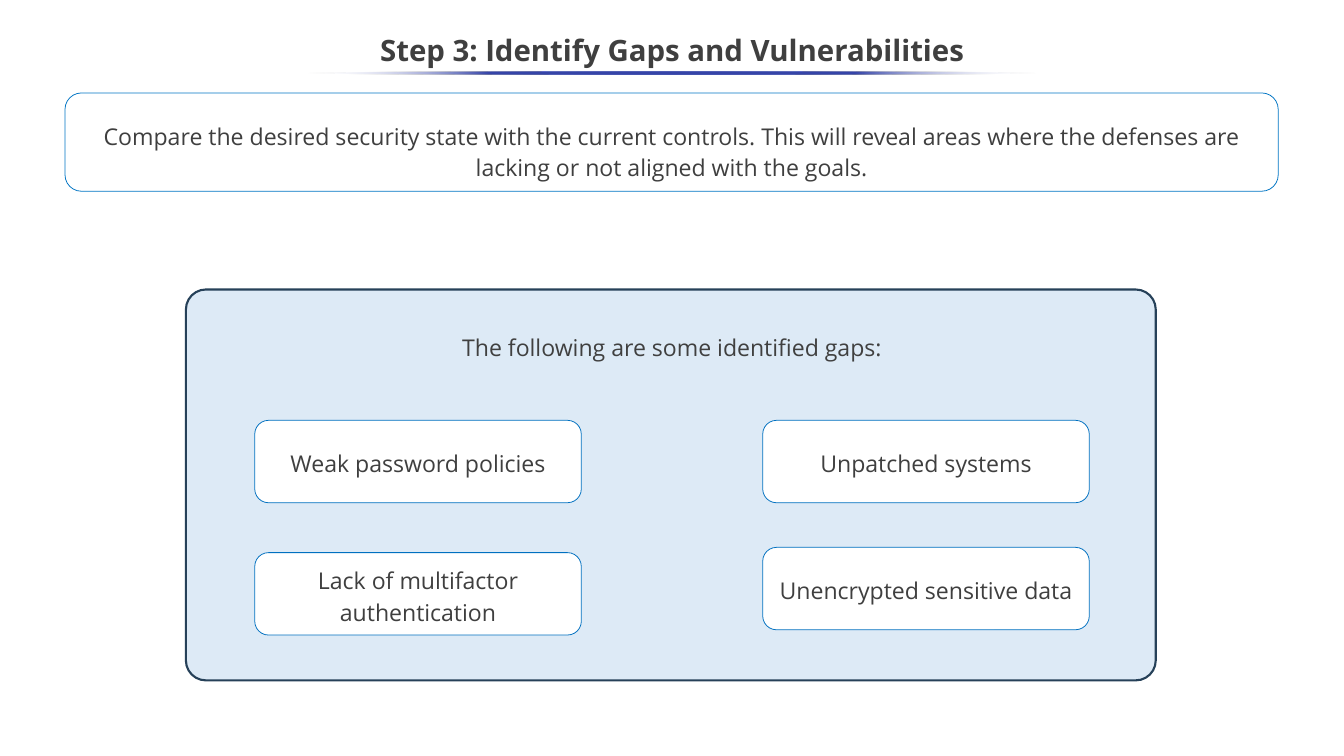
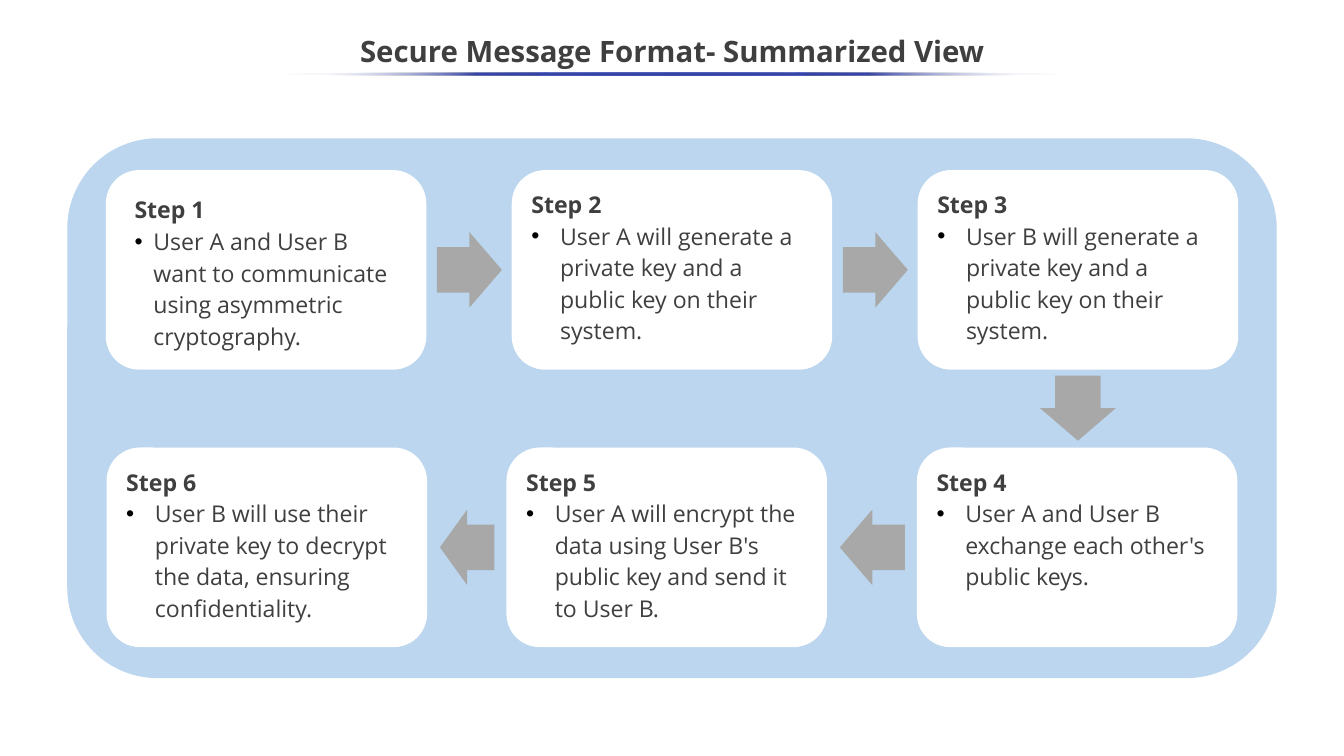
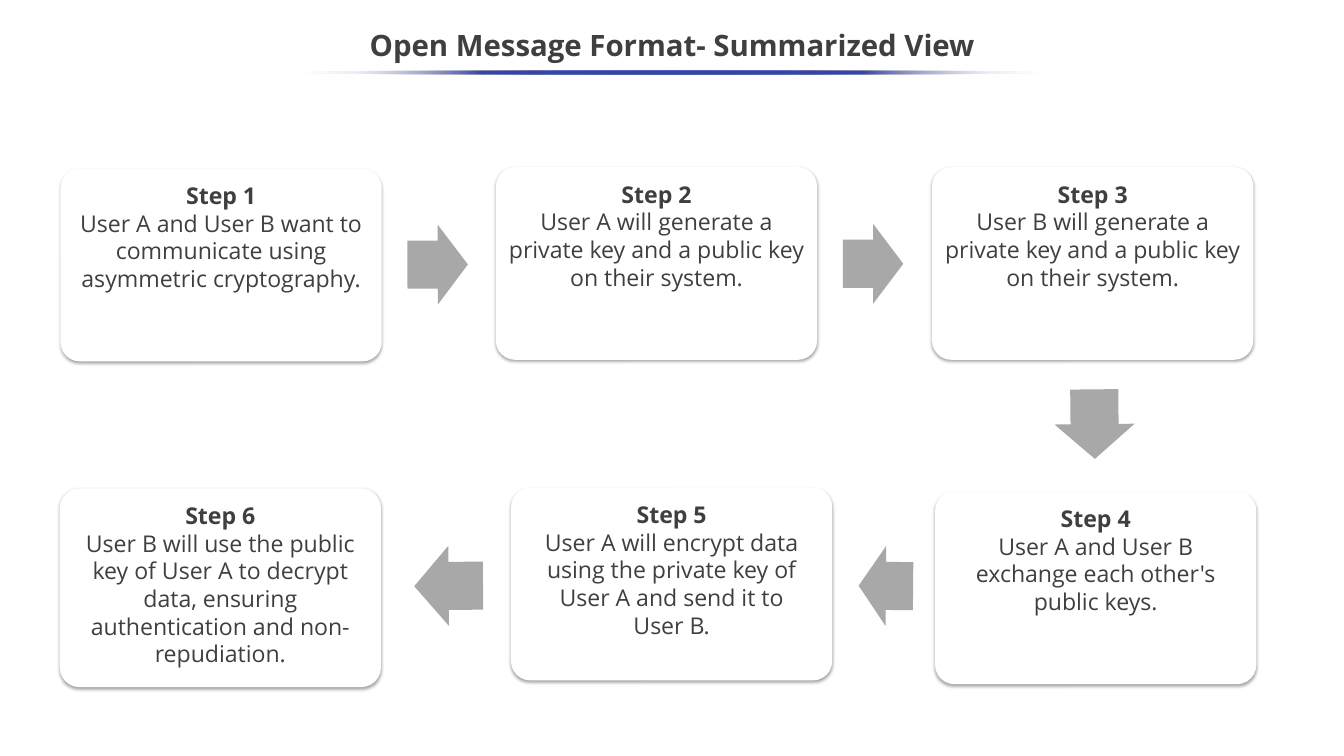
from pptx import Presentation
from pptx.dml.color import RGBColor
from pptx.enum.shapes import MSO_SHAPE
from pptx.enum.text import MSO_ANCHOR, PP_ALIGN
from pptx.oxml import parse_xml
from pptx.oxml.ns import nsdecls, qn
from pptx.util import Inches, Pt

FONT = "Open Sans"
INK = "3F3F3F"
CAPTION_INK = "404040"
WHITE = "FFFFFF"
ACCENT = "3645A9"
PANEL_FILL = "DDEAF6"
PANEL_LINE = "264159"
STATEMENT_LINE = "0075C4"
GAP_LINE = "0070C0"
FLOW_FILL = "BBD6EE"
ARROW_FILL = "A8A8A8"

SLIDE_WIDTH = 17.78
SLIDE_HEIGHT = 10
BODY_SIZE = 22
TITLE_SIZE = 28

SHARED_STEPS = [
    ["User A and User B want to communicate using asymmetric cryptography."],
    ["User A will generate a private key and a public key on their system."],
    ["User B will generate a private key and a public key on their system."],
    ["User A and User B exchange each other's public keys."],
]
SECURE_STEPS = SHARED_STEPS + [
    ["User A will encrypt the data using User B's public key and send it to User B."],
    ["User B will use their private key to decrypt the data, ensuring confidentiality."],
]
OPEN_STEPS = SHARED_STEPS + [
    ["User A will encrypt data using the private key of User A and send it to", "User B."],
    ["User B will use the public key of User A to decrypt data, "
     "ensuring authentication and non-repudiation."],
]


def color(value):
    return RGBColor.from_string(value)


def add_block(page, kind, area, fill=None, line=None, line_width=0.75, adjustments=()):
    shape = page.shapes.add_shape(kind, *map(Inches, area))
    shape.shadow.inherit = False
    for index, value in enumerate(adjustments):
        shape.adjustments[index] = value
    if fill:
        shape.fill.solid()
        shape.fill.fore_color.rgb = color(fill)
    else:
        shape.fill.background()
    if line:
        shape.line.color.rgb = color(line)
        shape.line.width = Pt(line_width)
    else:
        shape.line.fill.background()
    return shape


def add_rounded(page, area, corner=0.167, **style):
    return add_block(page, MSO_SHAPE.ROUNDED_RECTANGLE, area, adjustments=[corner], **style)


def set_insets(frame, side, top, bottom=None):
    frame.word_wrap = True
    frame.margin_left = frame.margin_right = Inches(side)
    frame.margin_top = Inches(top)
    frame.margin_bottom = Inches(top if bottom is None else bottom)


def style_paragraph(para, size=BODY_SIZE, ink=INK, bold=False, align=PP_ALIGN.CENTER, spacing=1.0):
    para.alignment = align
    para.line_spacing = spacing
    for span in para.runs:
        span.font.name = FONT
        span.font.size = Pt(size)
        span.font.bold = bold
        span.font.color.rgb = color(ink)


def add_bullet(para, indent):
    properties = para._p.get_or_add_pPr()
    properties.set("marL", str(Inches(indent)))
    properties.set("indent", str(-Inches(indent)))
    for markup in (
        f'<a:buClr {nsdecls("a")}><a:srgbClr val="000000"/></a:buClr>',
        f'<a:buFont {nsdecls("a")} typeface="Arial"/>',
        f'<a:buChar {nsdecls("a")} char="•"/>',
    ):
        properties.append(parse_xml(markup))


def add_label(page, text, area, anchor=MSO_ANCHOR.TOP, **style):
    box = page.shapes.add_textbox(*map(Inches, area))
    frame = box.text_frame
    set_insets(frame, 0.1, 0.05)
    frame.vertical_anchor = anchor
    frame.text = text
    style_paragraph(frame.paragraphs[0], **style)


def fill_block(shape, text, top_inset=0.1):
    frame = shape.text_frame
    set_insets(frame, 0.1, top_inset, 0.1)
    frame.vertical_anchor = MSO_ANCHOR.MIDDLE
    frame.text = text
    style_paragraph(frame.paragraphs[0], spacing=1.15)


def add_fading_rule(page, width, top):
    area = ((SLIDE_WIDTH - width) / 2, top, width, 0.04)
    rule = add_block(page, MSO_SHAPE.OVAL, area)
    stops = [(0, WHITE, 0), (25, ACCENT, 100), (50, ACCENT, 100), (75, ACCENT, 100), (100, WHITE, 0)]
    stop_markup = "".join(
        f'<a:gs pos="{place * 1000}"><a:srgbClr val="{value}">'
        f'<a:alpha val="{alpha * 1000}"/></a:srgbClr></a:gs>'
        for place, value, alpha in stops
    )
    gradient = parse_xml(
        f'<a:gradFill {nsdecls("a")}><a:gsLst>{stop_markup}</a:gsLst>'
        '<a:lin ang="10800000" scaled="0"/></a:gradFill>'
    )
    properties = rule._element.spPr
    properties.replace(properties.find(qn("a:noFill")), gradient)


def add_title(page, text, top, spacing, rule_width, rule_top):
    add_label(page, text, (-0.01, top, 17.8, 0.75), MSO_ANCHOR.MIDDLE,
              size=TITLE_SIZE, bold=True, spacing=spacing)
    add_fading_rule(page, rule_width, rule_top)


def add_soft_shadow(shape):
    effects = shape._element.spPr.find(qn("a:effectLst"))
    effects.append(parse_xml(
        f'<a:outerShdw {nsdecls("a")} blurRad="{Pt(3.1)}" dist="{Pt(1.8)}" dir="5400000" '
        'algn="ctr" rotWithShape="0"><a:srgbClr val="000000"><a:alpha val="35000"/>'
        '</a:srgbClr></a:outerShdw>'
    ))


def add_arrow(page, area, turn=0):
    arrow = add_block(page, MSO_SHAPE.RIGHT_ARROW, area, fill=ARROW_FILL, adjustments=[0.6, 0.5])
    arrow.rotation = turn


def add_step_text(page, number, lines, area, align, spacing=1.0, indent=None):
    frame = page.shapes.add_textbox(*map(Inches, area)).text_frame
    set_insets(frame, 0.09, 0.09)
    frame.text = f"Step {number}"
    style_paragraph(frame.paragraphs[0], bold=True, align=align)
    for line in lines:
        para = frame.add_paragraph()
        para.text = line
        if indent:
            add_bullet(para, indent)
        style_paragraph(para, align=align, spacing=spacing)


def inset_area(area, side, top):
    left, upper, width, height = area
    return left + side, upper + top, width - 2 * side, height - 2 * top


def add_blank_page(deck):
    return deck.slides.add_slide(deck.slide_layouts[6])


def build_gaps(deck):
    page = add_blank_page(deck)
    add_rounded(page, (2.46, 3.83, 12.83, 5.17), 0.051,
                fill=PANEL_FILL, line=PANEL_LINE, line_width=2)
    add_title(page, "Step 3: Identify Gaps and Vulnerabilities", 0.25, 1.15, 9.67, 0.95)
    statement = add_rounded(page, (0.86, 1.23, 16.05, 1.3), line=STATEMENT_LINE)
    fill_block(statement, "Compare the desired security state with the current controls. "
               "This will reveal areas where the defenses are lacking or not aligned "
               "with the goals.", top_inset=0.3)
    gaps = [
        ("Unpatched systems", 10.09, 5.56),
        ("Unencrypted sensitive data", 10.09, 7.24),
        ("Weak password policies", 3.37, 5.56),
        ("Lack of multifactor authentication", 3.37, 7.31),
    ]
    for text, left, top in gaps:
        fill_block(add_rounded(page, (left, top, 4.32, 1.09), fill=WHITE, line=GAP_LINE), text)
    add_label(page, "The following are some identified gaps:", (5.75, 4.3, 6.28, 0.5),
              ink=CAPTION_INK, spacing=1.15)


def build_secure_format(deck):
    page = add_blank_page(deck)
    add_title(page, "Secure Message Format- Summarized View", 0.32, 0.9, 10.34, 0.96)
    add_rounded(page, (0.89, 1.83, 16, 7.14), fill=FLOW_FILL)
    arrows = [
        (5.78, 3.07, 0.86, 0),
        (11.15, 3.07, 0.86, 0),
        (13.83, 4.9, 0.86, 90),
        (11.11, 6.74, 0.86, 180),
        (5.82, 6.74, 0.72, 180),
    ]
    for left, top, width, turn in arrows:
        add_arrow(page, (left, top, width, 1), turn)
    corners = [(1.4, 2.25), (6.77, 2.25), (12.14, 2.25), (12.13, 5.92), (6.7, 5.92), (1.41, 5.92)]
    for number, (corner, lines) in enumerate(zip(corners, SECURE_STEPS), 1):
        area = (*corner, 4.24, 2.64)
        add_rounded(page, area, fill=WHITE)
        side, top, indent = (0.29, 0.25, 0.25) if number == 1 else (0.17, 0.18, 0.38)
        add_step_text(page, number, lines, inset_area(area, side, top),
                      PP_ALIGN.LEFT, 1.14, indent)


def build_open_format(deck):
    page = add_blank_page(deck)
    cards = [
        (0.8, 2.23, 2.55),
        (6.56, 2.21, 2.55),
        (12.33, 2.21, 2.55),
        (12.37, 6.5, 2.55),
        (6.76, 6.45, 2.55),
        (0.79, 6.46, 2.63),
    ]
    for number, ((left, top, height), lines) in enumerate(zip(cards, OPEN_STEPS), 1):
        area = (left, top, 4.25, height)
        add_soft_shadow(add_rounded(page, area, 0.1, fill=WHITE))
        add_step_text(page, number, lines, inset_area(area, 0.07, 0.08), PP_ALIGN.CENTER)
    arrows = [
        (5.39, 2.97, 0.8, 359.8),
        (11.15, 2.96, 0.8, 0),
        (14.02, 5.08, 0.92, 89.4),
        (11.36, 7.22, 0.72, 180.5),
        (5.48, 7.22, 0.91, 179.5),
    ]
    for left, top, width, turn in arrows:
        add_arrow(page, (left, top, width, 1.06), turn)
    add_title(page, "Open Message Format- Summarized View", 0.25, 0.9, 10.01, 0.94)


def main():
    deck = Presentation()
    deck.slide_width = Inches(SLIDE_WIDTH)
    deck.slide_height = Inches(SLIDE_HEIGHT)
    build_gaps(deck)
    build_secure_format(deck)
    build_open_format(deck)
    deck.save("out.pptx")


if __name__ == "__main__":
    main()
